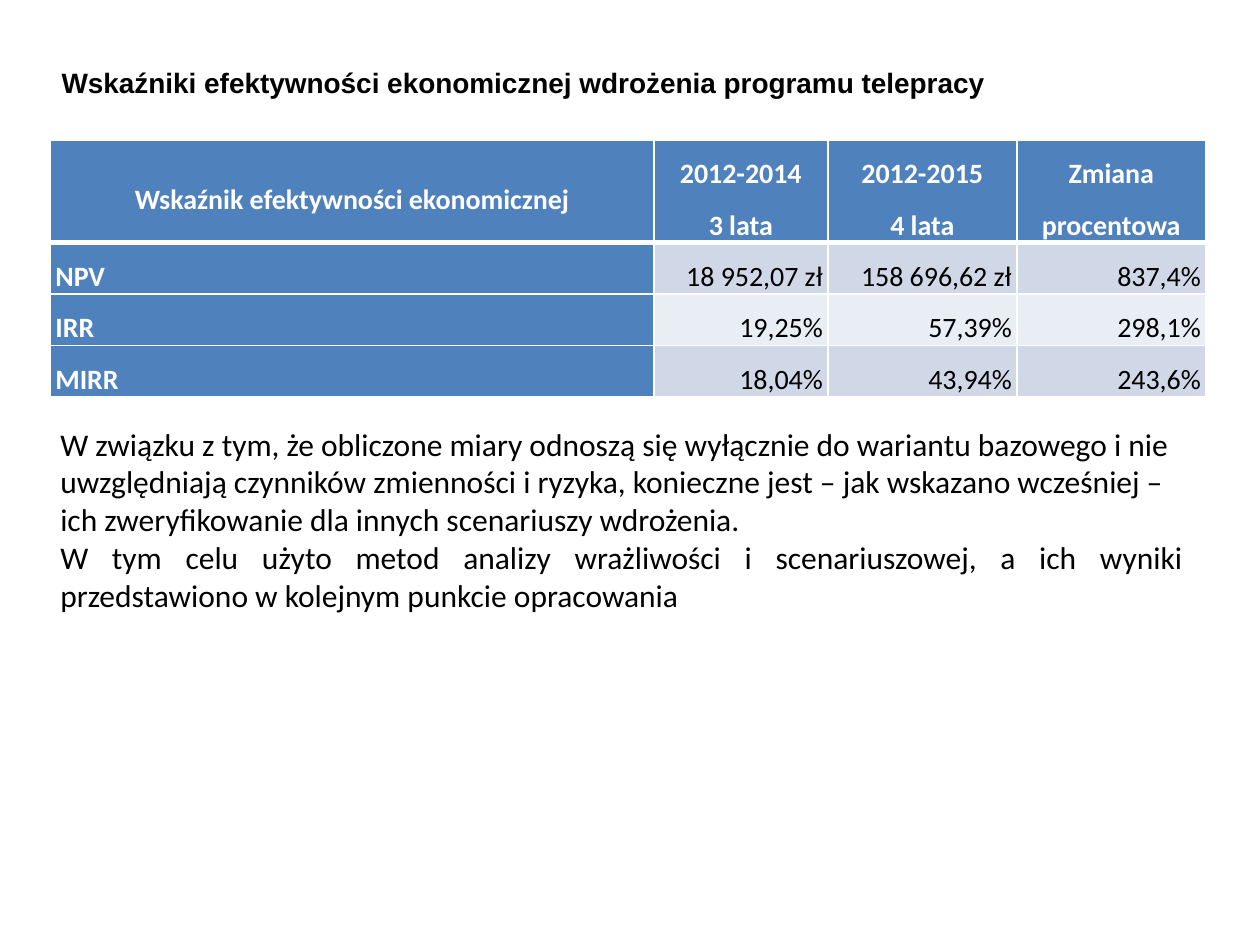
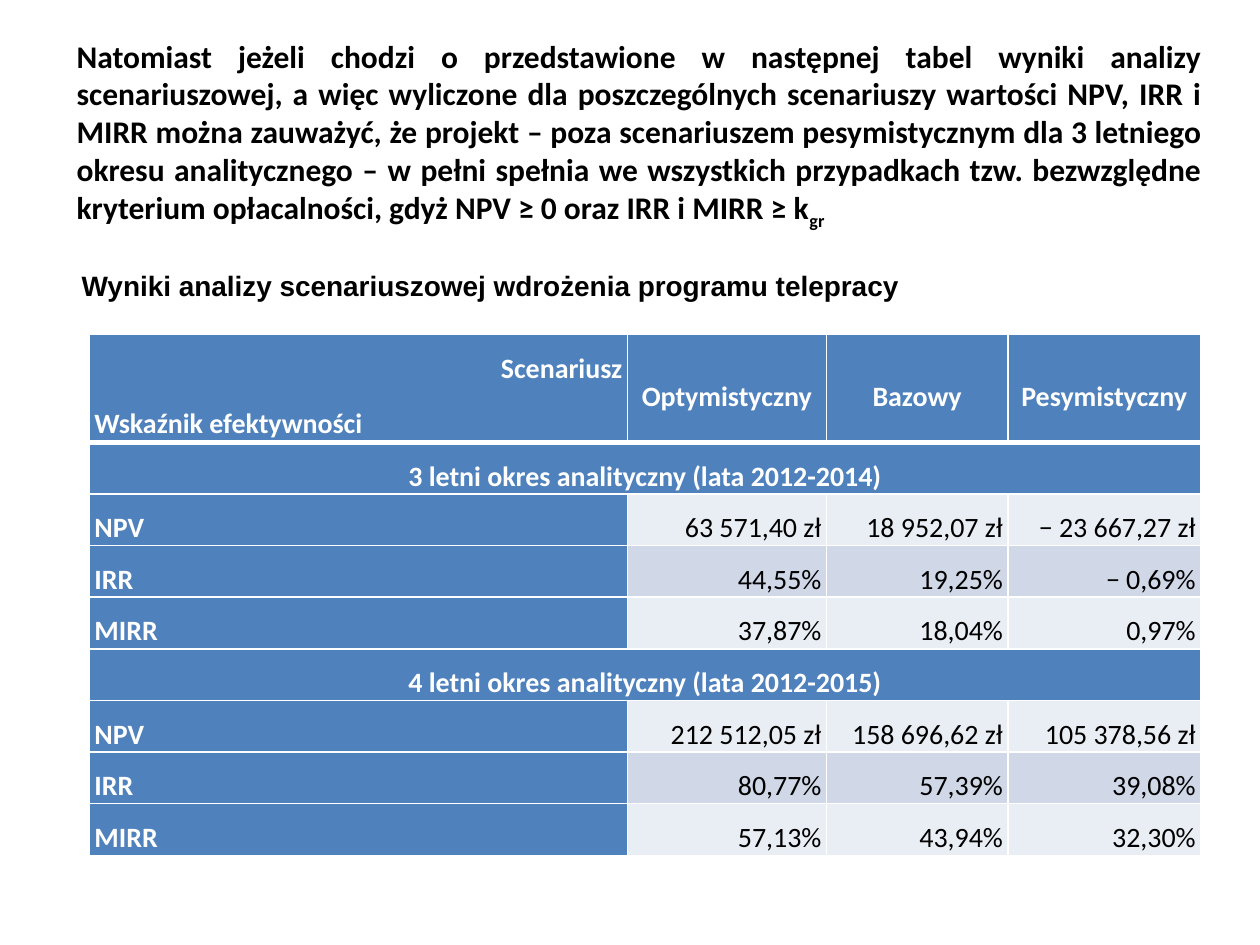
from lxml.etree import SubElement
from pptx import Presentation
from pptx.dml.color import RGBColor
from pptx.enum.text import MSO_ANCHOR as Anchor, MSO_AUTO_SIZE as AutoSize, PP_ALIGN as Align
from pptx.oxml.ns import qn
from pptx.util import Inches, Pt

BLACK = RGBColor(0x00, 0x00, 0x00)
WHITE = RGBColor(0xFF, 0xFF, 0xFF)
BLUE = RGBColor(0x4F, 0x81, 0xBD)
BAND_DARK = RGBColor(0xD0, 0xD8, 0xE8)
BAND_LIGHT = RGBColor(0xE9, 0xED, 0xF4)


def add_text(slide, box, texts, aligns, font_name="Calibri", size=18, bold=False,
             anchor=Anchor.TOP, auto_size=AutoSize.SHAPE_TO_FIT_TEXT):
    frame = slide.shapes.add_textbox(*map(Inches, box)).text_frame
    frame.word_wrap = True
    frame.auto_size = auto_size
    frame.vertical_anchor = anchor
    frame.text = "\n".join(texts)
    for paragraph, align in zip(frame.paragraphs, aligns):
        paragraph.alignment = align
        font = paragraph.font
        font.name, font.size, font.bold = font_name, Pt(size), bold
        font.color.rgb = BLACK
    return frame


def add_indicator_table(slide, box, column_widths, row_heights, rows):
    table = slide.shapes.add_table(len(rows), len(column_widths), *map(Inches, box)).table
    table.first_col = True
    for column, width in zip(table.columns, column_widths):
        column.width = Inches(width)
    for row, height in zip(table.rows, row_heights):
        row.height = Inches(height)
    for row_index, values in enumerate(rows):
        is_section = len(values) == 1
        if is_section:
            table.cell(row_index, 0).merge(table.cell(row_index, len(column_widths) - 1))
        for column_index in range(len(column_widths)):
            cell = table.cell(row_index, column_index)
            is_header = row_index == 0
            is_label = is_header or is_section or column_index == 0
            cell.margin_left = cell.margin_right = Inches(0.04)
            cell.margin_top = cell.margin_bottom = 0
            cell.vertical_anchor = Anchor.MIDDLE if is_header else Anchor.TOP
            properties = cell._tc.get_or_add_tcPr()
            for side in "LRTB":
                thick = (side == "B" and row_index == 0) or (side == "T" and row_index == 1)
                line = SubElement(properties, qn(f"a:ln{side}"), w=str(Pt(3 if thick else 1)))
                SubElement(SubElement(line, qn("a:solidFill")), qn("a:srgbClr"), val=str(WHITE))
            cell.fill.solid()
            cell.fill.fore_color.rgb = BLUE if is_label else (BAND_LIGHT, BAND_DARK)[row_index % 2]
            if column_index >= len(values):
                continue
            cell.text = values[column_index]
            for paragraph in cell.text_frame.paragraphs:
                if is_header or is_section:
                    paragraph.alignment = Align.CENTER
                else:
                    paragraph.alignment = Align.LEFT if is_label else Align.RIGHT
                paragraph.line_spacing = 1.5
                if is_header and column_index == 0:
                    paragraph.space_before = paragraph.space_after = Pt(1)
                font = paragraph.font
                font.name, font.size, font.bold = "Calibri", Pt(16), is_label
                font.color.rgb = WHITE if is_label else BLACK
    return table


presentation = Presentation()
presentation.slide_width = Inches(10)
presentation.slide_height = Inches(7.5)
blank_layout = presentation.slide_layouts[6]
caption_style = dict(aligns=[Align.LEFT], font_name="Arial", size=16, bold=True, anchor=Anchor.MIDDLE)

indicators_slide = presentation.slides.add_slide(blank_layout)
add_indicator_table(
    indicators_slide, (0.4, 1.11, 9.17, 2), [4.79, 1.38, 1.5, 1.5], [0.79] + [0.39] * 3,
    [
        ["Wskaźnik efektywności ekonomicznej", "2012-2014\v3 lata", "2012-2015\v4 lata", "Zmiana procentowa"],
        ["NPV", "18 952,07 zł", "158 696,62 zł", "837,4%"],
        ["IRR", "19,25%", "57,39%", "298,1%"],
        ["MIRR", "18,04%", "43,94%", "243,6%"],
    ])
add_text(indicators_slide, (0.39, 0.47, 8.86, 0.37),
         ["Wskaźniki efektywności ekonomicznej wdrożenia programu telepracy"], **caption_style)
add_text(
    indicators_slide, (0.38, 3.32, 9.11, 1.62),
    ["W związku z tym, że obliczone miary odnoszą się wyłącznie do wariantu bazowego i nie "
     "uwzględniają czynników zmienności i ryzyka, konieczne jest – jak wskazano wcześniej – "
     "ich zweryfikowanie dla innych scenariuszy wdrożenia.",
     "W tym celu użyto metod analizy wrażliwości i scenariuszowej, a ich wyniki "
     "przedstawiono w kolejnym punkcie opracowania"],
    [Align.LEFT, Align.JUSTIFY])

scenarios_slide = presentation.slides.add_slide(blank_layout)
introduction = add_text(
    scenarios_slide, (0.51, 0.3, 9.13, 1.52),
    ["Natomiast jeżeli chodzi o przedstawione w następnej tabel wyniki analizy "
     "scenariuszowej, a więc wyliczone dla poszczególnych scenariuszy wartości NPV, IRR i "
     "MIRR można zauważyć, że projekt – poza scenariuszem pesymistycznym dla 3 letniego "
     "okresu analitycznego – w pełni spełnia we wszystkich przypadkach tzw. bezwzględne "
     "kryterium opłacalności, gdyż NPV ≥ 0 oraz IRR i MIRR ≥ k"],
    [Align.JUSTIFY], bold=True, anchor=Anchor.MIDDLE, auto_size=AutoSize.NONE)
subscript = introduction.paragraphs[0].add_run()
subscript.text = "gr"
subscript._r.get_or_add_rPr().set("baseline", "-25000")

scenario_table = add_indicator_table(
    scenarios_slide, (0.71, 2.65, 8.82, 4.13), [4.27, 1.58, 1.44, 1.53], [0.86] + [0.41] * 8,
    [
        ["Scenariusz\nWskaźnik efektywności", "Optymistyczny", "Bazowy", "Pesymistyczny"],
        ["3 letni okres analityczny (lata 2012-2014)"],
        ["NPV", "63 571,40 zł", "18 952,07 zł", "− 23 667,27 zł"],
        ["IRR", "44,55%", "19,25%", "− 0,69%"],
        ["MIRR", "37,87%", "18,04%", "0,97%"],
        ["4 letni okres analityczny (lata 2012-2015)"],
        ["NPV", "212 512,05 zł", "158 696,62 zł", "105 378,56 zł"],
        ["IRR", "80,77%", "57,39%", "39,08%"],
        ["MIRR", "57,13%", "43,94%", "32,30%"],
    ])
scenario_label, indicator_label = scenario_table.cell(0, 0).text_frame.paragraphs
scenario_label.alignment = Align.RIGHT
indicator_label.alignment = Align.LEFT
add_text(scenarios_slide, (0.55, 2.08, 9.1, 0.37),
         ["Wyniki analizy scenariuszowej wdrożenia programu telepracy"], **caption_style)

presentation.save("out.pptx")
